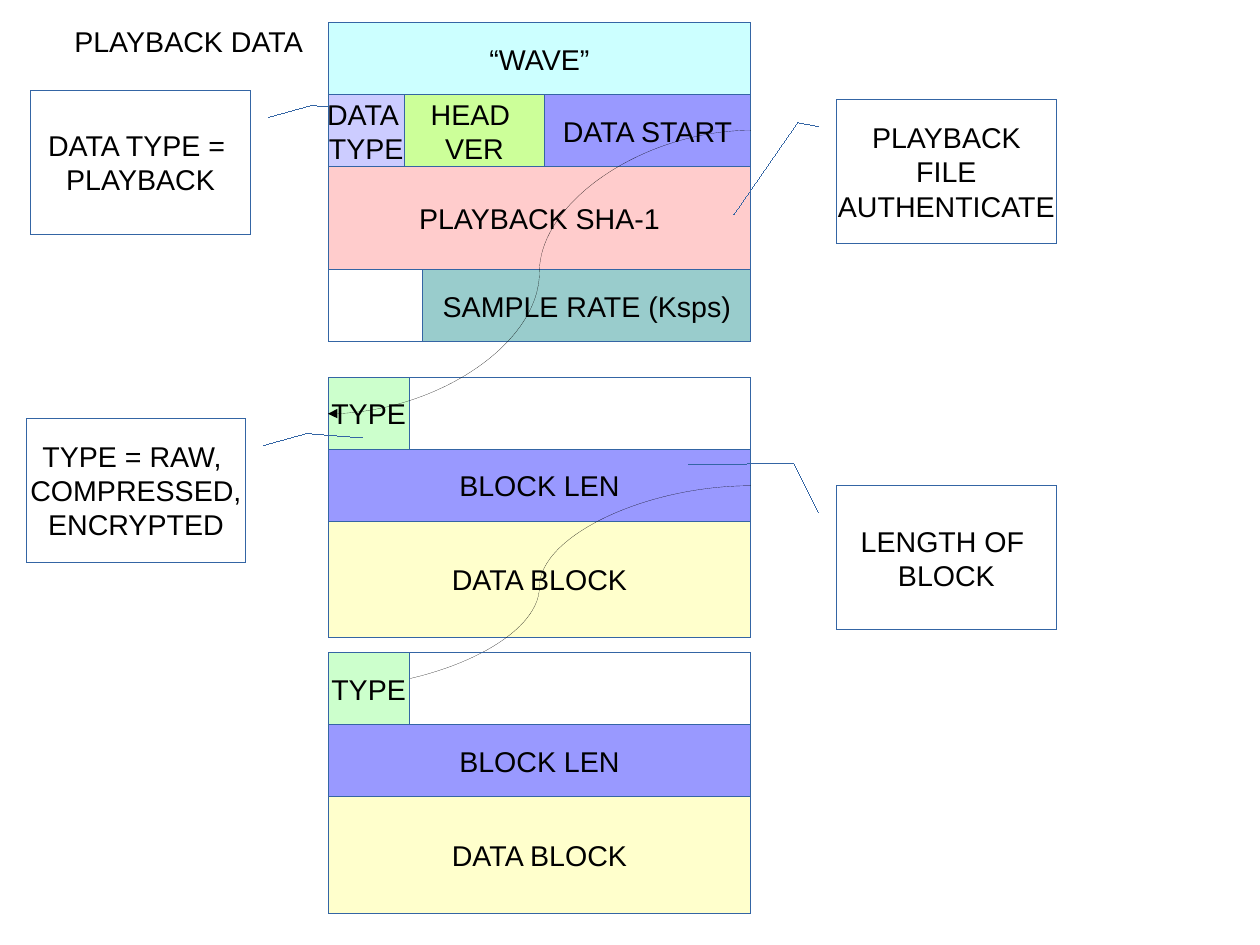
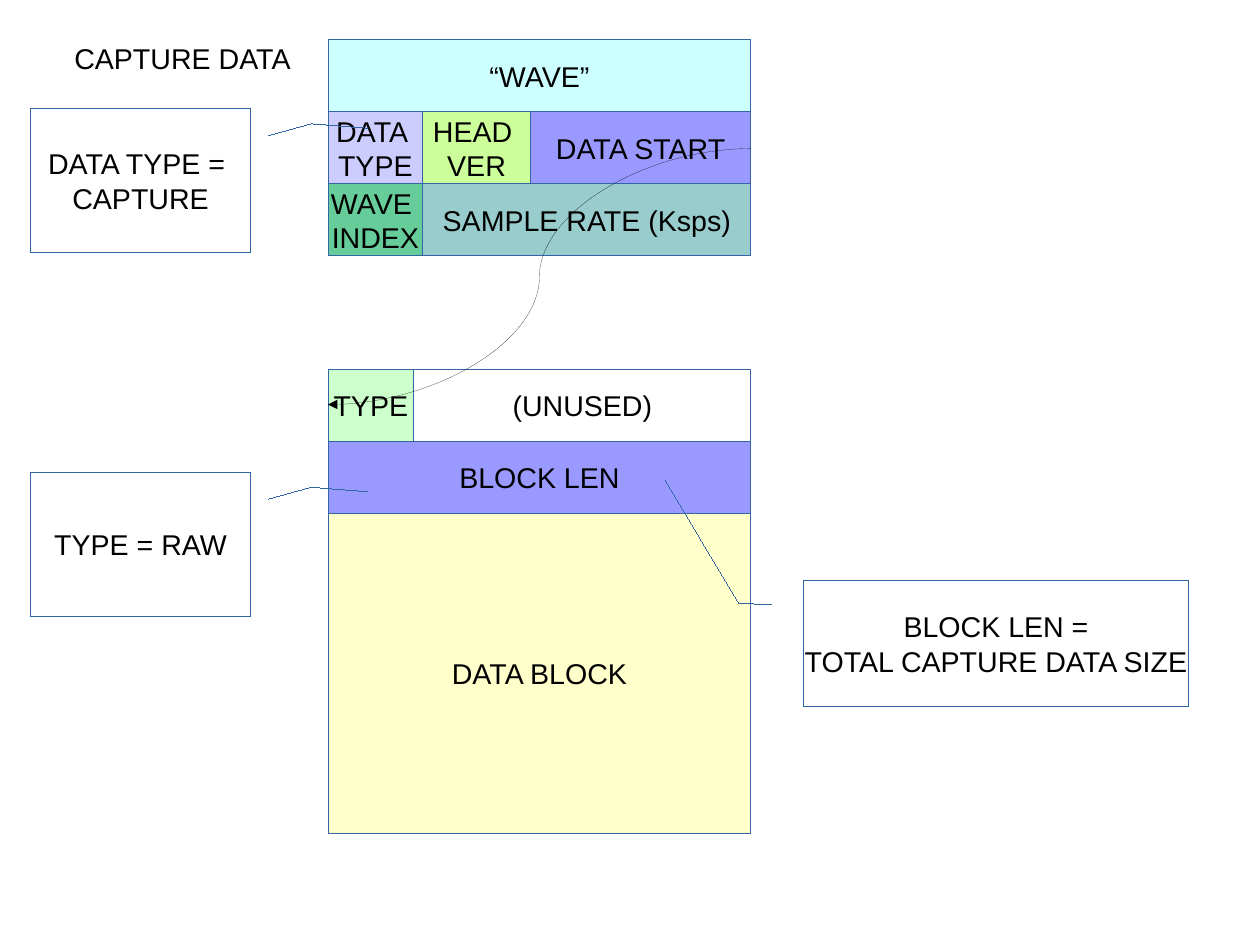
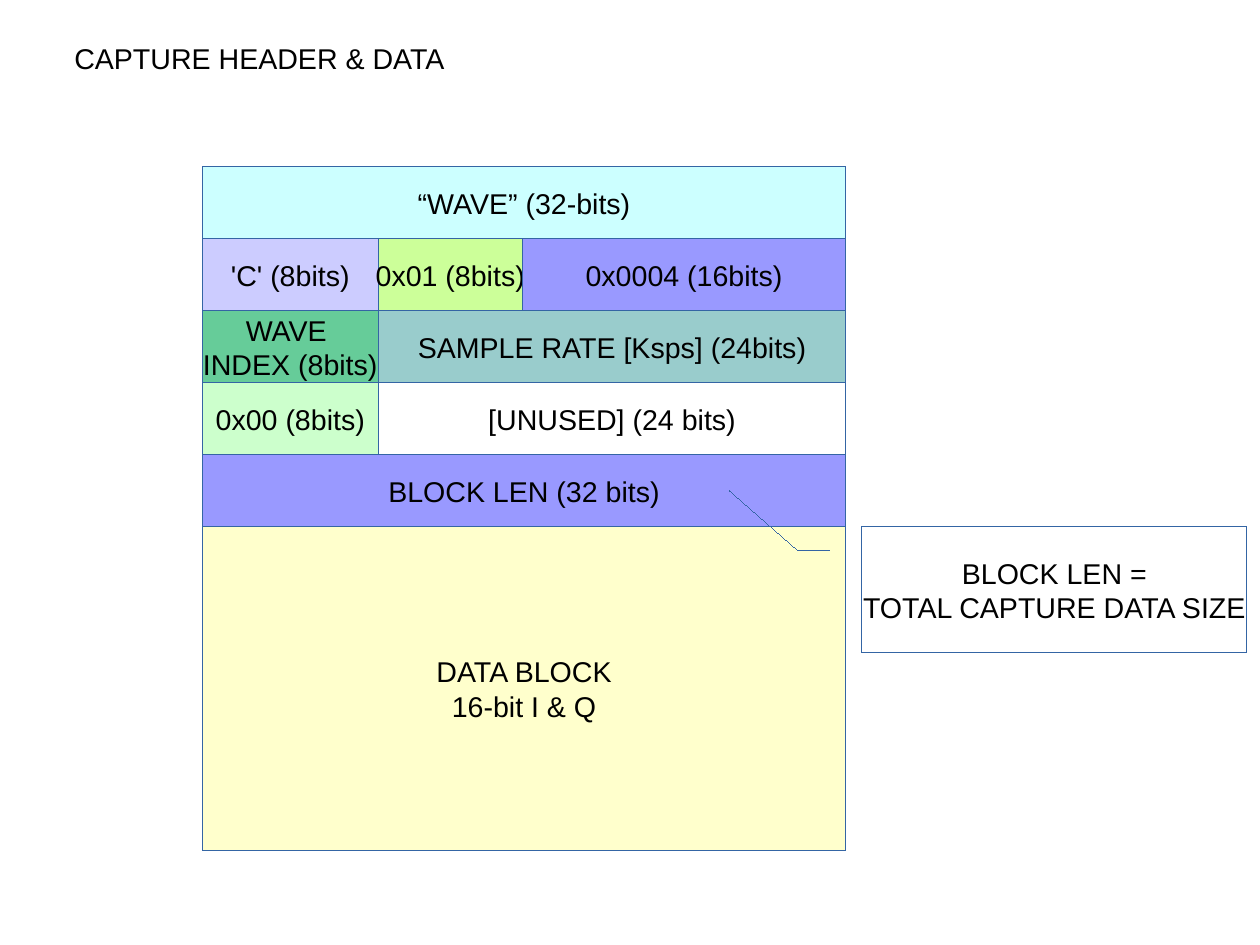
import pptx
import pptx.dml.color
import pptx.enum.shapes
import pptx.enum.text
import pptx.oxml.ns
import pptx.util
from lxml import etree

Inches = pptx.util.Inches
RGBColor = pptx.dml.color.RGBColor
SHAPE = pptx.enum.shapes.MSO_SHAPE
ALIGN = pptx.enum.text.PP_ALIGN
ANCHOR = pptx.enum.text.MSO_ANCHOR

# Shared colours
BLACK = RGBColor(0x00, 0x00, 0x00)
OUTLINE = RGBColor(0x34, 0x65, 0xA4)
CYAN = RGBColor(0xCC, 0xFF, 0xFF)
LAVENDER = RGBColor(0xCC, 0xCC, 0xFF)
LIME = RGBColor(0xCC, 0xFF, 0x99)
VIOLET = RGBColor(0x99, 0x99, 0xFF)
PINK = RGBColor(0xFF, 0xCC, 0xCC)
GREEN = RGBColor(0x66, 0xCC, 0x99)
TEAL = RGBColor(0x99, 0xCC, 0xCC)
MINT = RGBColor(0xCC, 0xFF, 0xCC)
CREAM = RGBColor(0xFF, 0xFF, 0xCC)

# Shared measures, in inches
CM = 1 / 2.54
ROW = 0.63
STACK_LEFT, STACK_WIDTH = 2.87, 3.7
STACK_RIGHT = STACK_LEFT + STACK_WIDTH
NOTE_WIDTH, NOTE_HEIGHT = 1.92, 1.26

# Callout leaders: y, x of each point as shares of the box
LEADER_START = (0.188, -0.083)
LEFT_LEADER = (0.106, -0.277, 0.137, -0.533)


def format_text(frame, align):
    for para in frame.paragraphs:
        para.alignment = align
        for span in para.runs:
            span.font.name = "Arial"
            span.font.size = pptx.util.Pt(18)
            span.font.color.rgb = BLACK


def set_hairline(line, color):
    """Colour a line and write its zero width out, so no theme width applies."""
    line.color.rgb = color
    outline = line._get_or_add_ln()
    outline.set("w", "0")
    return outline


def add_page(deck, title, top, width):
    """Add a page with its title placeholder moved to the top left."""
    page = deck.slides.add_slide(deck.slide_layouts[5])
    box = page.shapes.title
    box.left, box.top = Inches(0.55), Inches(top)
    box.width, box.height = Inches(width), Inches(0.38)
    frame = box.text_frame
    frame.text = title
    frame.word_wrap = False
    frame.auto_size = pptx.enum.text.MSO_AUTO_SIZE.NONE
    frame.vertical_anchor = ANCHOR.TOP
    format_text(frame, ALIGN.LEFT)
    return page


def add_box(page, kind, left, top, width, height, text, fill=None):
    """Draw an outlined shape with centred text."""
    box = page.shapes.add_shape(
        kind, Inches(left), Inches(top), Inches(width), Inches(height))
    box.shadow.inherit = False
    if fill is None:
        box.fill.background()
    else:
        box.fill.solid()
        box.fill.fore_color.rgb = fill
    set_hairline(box.line, OUTLINE)
    if text:
        frame = box.text_frame
        frame.text = text
        frame.word_wrap = False
        frame.vertical_anchor = ANCHOR.MIDDLE
        format_text(frame, ALIGN.CENTER)
    return box


def add_stack(page, left, top, width, rows):
    """Stack rows of (height, cells); a cell without width takes the rest."""
    for height, cells in rows:
        offset = 0
        for text, fill, cell_width in cells:
            cell_width = cell_width or width - offset
            add_box(page, SHAPE.RECTANGLE, left + offset, top,
                    cell_width, height, text, fill)
            offset += cell_width
        top += height


def add_block(page, top, type_width, data_height, unused=""):
    """Draw one data block: type, length and data."""
    add_stack(page, STACK_LEFT, top, STACK_WIDTH, [
        (ROW, [("TYPE", MINT, type_width), (unused, None, None)]),
        (ROW, [("BLOCK LEN", VIOLET, None)]),
        (data_height, [("DATA BLOCK", CREAM, None)]),
    ])


def add_note(page, left, top, text, leader, width=NOTE_WIDTH,
             height=NOTE_HEIGHT, flip=False):
    """Draw a callout; a flipped one has its leader on the right."""
    note = add_box(page, SHAPE.LINE_CALLOUT_2, left, top, width, height, text)
    for index, value in enumerate(LEADER_START + leader):
        note.adjustments[index] = value
    if flip:
        note._element.spPr.get_or_add_xfrm().set("flipH", "1")


def add_length_note(page, left, top, leader):
    add_note(page, left, top, "BLOCK LEN =\nTOTAL CAPTURE DATA SIZE", leader,
             width=3.37, height=1.1)


def add_pointer(page, start, end):
    """Draw a curved arrow from the right edge of a stack to its left edge."""
    curve = page.shapes.add_connector(
        pptx.enum.shapes.MSO_CONNECTOR.CURVE,
        Inches(STACK_RIGHT), Inches(start), Inches(STACK_LEFT), Inches(end))
    outline = set_hairline(curve.line, BLACK)
    qn = pptx.oxml.ns.qn
    etree.SubElement(outline, qn("a:tailEnd"), type="triangle")
    etree.SubElement(curve._element.spPr, qn("a:effectLst"))


def build_playback(deck):
    page = add_page(deck, "PLAYBACK DATA", 0.16, 2.3)
    add_note(page, 0.27, 0.79, "DATA TYPE = \nPLAYBACK", LEFT_LEADER, flip=True)
    # Header
    add_stack(page, STACK_LEFT, 0.2, STACK_WIDTH, [
        (ROW, [("“WAVE”", CYAN, None)]),
        (ROW, [("DATA \nTYPE", LAVENDER, 0.67), ("HEAD \nVER", LIME, 1.22),
               ("DATA START", VIOLET, None)]),
        (0.9, [("PLAYBACK SHA-1", PINK, None)]),
        (ROW, [("", None, 0.83), ("SAMPLE RATE (Ksps)", TEAL, None)]),
    ])
    # Data blocks; the second covers the end of the pointer to it
    add_block(page, 3.3, 0.71, 1.02)
    add_pointer(page, 4.25, 6.02)
    add_block(page, 5.71, 0.71, 1.02)
    add_pointer(page, 1.14, 3.62)
    # Notes
    add_note(page, 0.23, 3.66, "TYPE = RAW, \nCOMPRESSED,\nENCRYPTED",
             LEFT_LEADER, flip=True)
    add_note(page, 7.32, 0.87, "PLAYBACK\nFILE\nAUTHENTICATE",
             (0.162, -0.179, 0.802, -0.47))
    add_note(page, 7.32, 4.25, "LENGTH OF \nBLOCK",
             (-0.155, -0.195, -0.146, -0.675))


def build_capture(deck):
    page = add_page(deck, "CAPTURE DATA", 0.31, 2.3)
    # Header and data block
    add_stack(page, STACK_LEFT, 0.35, STACK_WIDTH, [
        (ROW, [("“WAVE”", CYAN, None)]),
        (ROW, [("DATA \nTYPE", LAVENDER, 0.83), ("HEAD \nVER", LIME, 0.94),
               ("DATA START", VIOLET, None)]),
        (ROW, [("WAVE \nINDEX", GREEN, 0.83),
               ("SAMPLE RATE (Ksps)", TEAL, None)]),
    ])
    add_block(page, 3.23, 0.75, 2.8, "(UNUSED)")
    add_pointer(page, 1.3, 3.54)
    # Notes
    add_note(page, 0.27, 0.95, "DATA TYPE = \nCAPTURE", LEFT_LEADER, flip=True)
    add_note(page, 0.27, 4.13, "TYPE = RAW", LEFT_LEADER, flip=True)
    add_length_note(page, 7.03, 5.08, (0.185, -0.167, -0.799, -0.359))


def build_capture_header(deck):
    page = add_page(deck, "CAPTURE HEADER & DATA", 0.31, 3.6)
    byte_width = 1.54
    add_stack(page, 1.77, 1.46, 5.63, [
        (ROW, [("“WAVE” (32-bits)", CYAN, None)]),
        (ROW, [("'C' (8bits)", LAVENDER, byte_width),
               ("0x01 (8bits)", LIME, 1.26),
               ("0x0004 (16bits)", VIOLET, None)]),
        (ROW, [("WAVE \nINDEX (8bits)", GREEN, byte_width),
               ("SAMPLE RATE [Ksps] (24bits)", TEAL, None)]),
        (ROW, [("0x00 (8bits)", MINT, byte_width),
               ("[UNUSED] (24 bits)", None, None)]),
        (ROW, [("BLOCK LEN (32 bits)", VIOLET, None)]),
        (2.83, [("DATA BLOCK\n16-bit I & Q", CREAM, None)]),
    ])
    add_length_note(page, 7.54, 4.61, (0.185, -0.167, -0.287, -0.343))


def main():
    deck = pptx.Presentation()
    # A custom page of 28 by 21 cm
    deck.slide_width, deck.slide_height = Inches(28 * CM), Inches(21 * CM)
    deck.element.sldSz.attrib.pop("type", None)
    build_playback(deck)
    build_capture(deck)
    build_capture_header(deck)
    deck.save("out.pptx")


if __name__ == "__main__":
    main()
